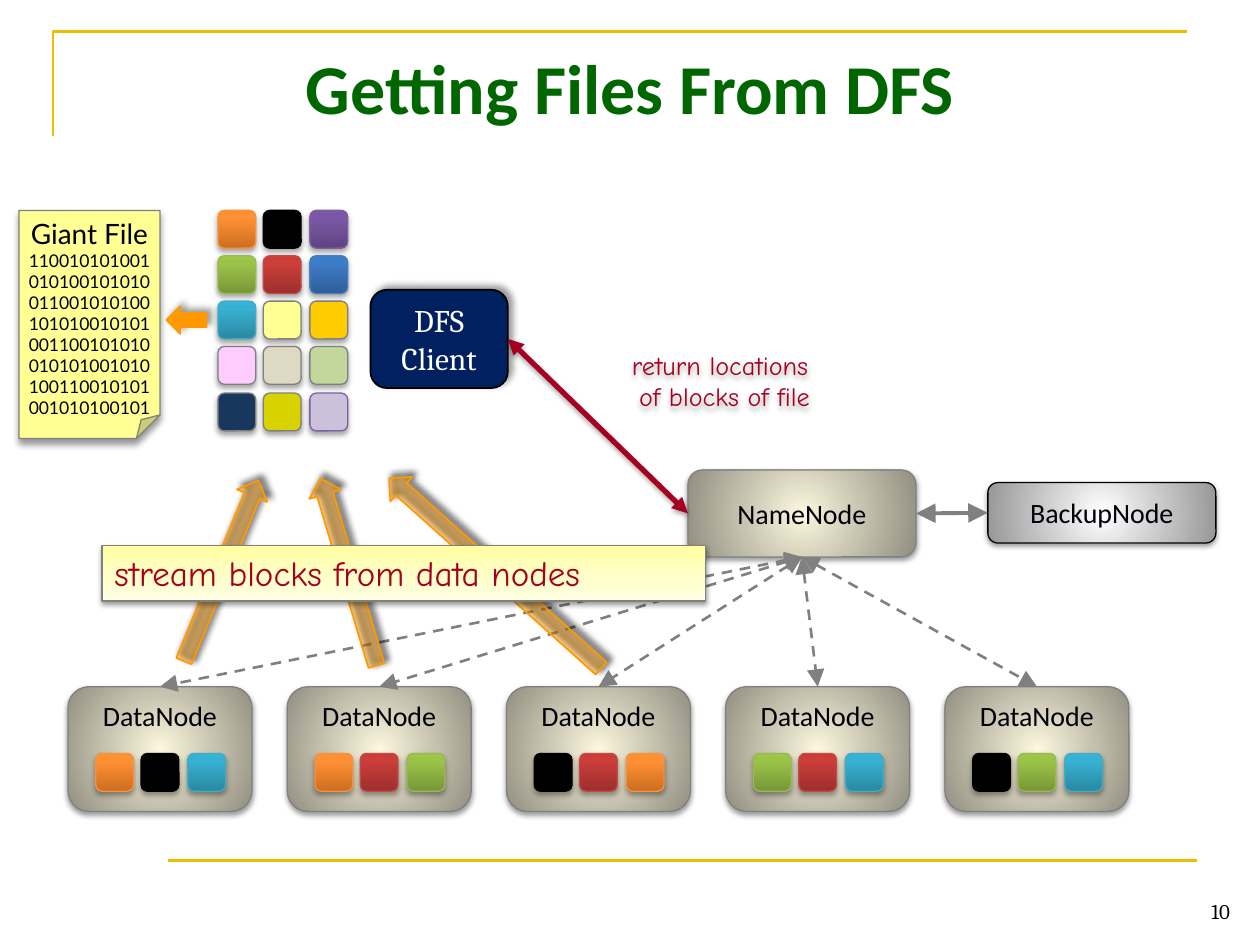
from dataclasses import dataclass

from lxml.etree import SubElement
from pptx import Presentation
from pptx.dml.color import RGBColor
from pptx.enum.dml import MSO_LINE
from pptx.enum.shapes import MSO_CONNECTOR, MSO_SHAPE
from pptx.enum.text import MSO_ANCHOR, PP_ALIGN
from pptx.oxml.ns import qn
from pptx.util import Emu, Pt

SCALE = 9144  # EMU in one px, 100 px to the inch


@dataclass(frozen=True)
class Paint:
    stops: tuple  # (position, colour) pairs; a single pair is a solid fill
    angle: int | None = None  # None makes a gradient circular
    alpha: int = 100


@dataclass(frozen=True)
class Shadow:
    alpha: int
    blur: float
    distance: float
    angle: int


@dataclass(frozen=True)
class Look:
    paint: Paint
    line: str = "808080"
    width: float = 0.75
    shadow: Shadow = Shadow(35, 3.1, 1.8, 90)


@dataclass(frozen=True)
class Type:
    name: str
    size: int
    color: str
    bold: bool = False


@dataclass(frozen=True)
class Box:
    left: int
    top: int
    width: int
    height: int

    def emu(self) -> tuple:
        return tuple(Emu(v * SCALE) for v in (self.left, self.top, self.width, self.height))


def solid(color: str, alpha: int = 100) -> Paint:
    return Paint(((0, color),), alpha=alpha)


def glossy(low: str, middle: str, high: str, line: str) -> Look:
    return Look(Paint(((0, low), (80, middle), (100, high)), 270), line)


class Theme:
    frame, gray, red = "EABD00", "808080", "A50021"
    soft = Shadow(35, 3.1, 1.8, 90)
    panel = Shadow(38, 3.1, 1.6, 90)
    lifted = Shadow(40, 4, 3, 315)
    node = Look(Paint(((0, "FCF7DD"), (100, "918E81"))), shadow=panel)
    backup = Look(Paint(((0, "FFFFFF"), (100, "979797"))), "000000", shadow=panel)
    paper = Look(solid("FFFF93"), shadow=Shadow(40, 4, 3, 90))
    client = Look(solid("002060"), "000000", 1, lifted)
    file_arrow = Look(solid("FF9900"), "FF9900", 1, lifted)
    stream_arrow = Look(solid("FF9900", 40), "FF9900", 1, lifted)
    banner = Look(Paint(((0, "FFFFA0"), (50, "FFFFC5"), (100, "FFFFE3")), 90), shadow=panel)
    title_type = Type("Calibri", 40, "006600", True)
    number_type = Type("Cambria", 12, "000000")
    node_type = Type("Calibri", 16, "01020B")
    file_type = Type("Lato", 16, "01020B")
    bits_type = Type("Lato", 10, "01020B")
    client_type = Type("Cambria", 18, "FFFFFF")
    note_type = Type("Comic Neue", 15, red)
    banner_type = Type("Comic Neue", 20, red)
    blocks = {
        "orange": glossy("CC6E20", "FF9034", "FF9136", "F69240"),
        "black": Look(solid("000000"), "000000"),
        "purple": glossy("5F4480", "7B58A6", "7C57A8", "7D60A0"),
        "green": glossy("779737", "9BC348", "9DC746", "98B955"),
        "red": glossy("9C2F2D", "CB3E3A", "CE3B37", "BF4C48"),
        "blue": glossy("2F5F99", "3D7CC7", "3A7CCB", "4B7EBC"),
        "cyan": glossy("2A88A2", "37B1D2", "34B4D6", "46AAC5"),
        "yellow": Look(solid("FFFF93")), "gold": Look(solid("FFCC00")),
        "pink": Look(solid("FFCCFF")), "sand": Look(solid("DDD9C3")),
        "sage": Look(solid("C3D69B")), "navy": Look(solid("17375E")),
        "olive": Look(solid("D7D200")), "lilac": Look(solid("CCC1DA"), "7D60A0"),
    }


def add_color(parent, color: str, alpha: int = 100) -> None:
    node = SubElement(parent, qn("a:srgbClr"), val=color)
    if alpha < 100:
        SubElement(node, qn("a:alpha"), val=str(alpha * 1000))


def set_shadow(properties, shadow: Shadow | None) -> None:
    effects = properties.find(qn("a:effectLst"))
    if effects is None:
        effects = SubElement(properties, qn("a:effectLst"))
    if shadow:
        values = {"blurRad": Pt(shadow.blur), "dist": Pt(shadow.distance),
                  "dir": shadow.angle * 60000, "rotWithShape": 0}
        outer = SubElement(effects, qn("a:outerShdw"), {k: str(v) for k, v in values.items()})
        add_color(outer, "000000", shadow.alpha)


def set_paint(shape, paint: Paint) -> None:
    properties = shape._element.spPr
    if len(paint.stops) == 1:
        shape.fill.solid()
        shape.fill.fore_color.rgb = RGBColor.from_string(paint.stops[0][1])
        if paint.alpha < 100:
            color = properties.find(qn("a:solidFill")).find(qn("a:srgbClr"))
            SubElement(color, qn("a:alpha"), val=str(paint.alpha * 1000))
        return
    shape.fill.gradient()
    gradient = properties.find(qn("a:gradFill"))
    for child in list(gradient):
        gradient.remove(child)
    stops = SubElement(gradient, qn("a:gsLst"))
    for position, color in paint.stops:
        add_color(SubElement(stops, qn("a:gs"), pos=str(position * 1000)), color)
    if paint.angle is None:
        circle = SubElement(gradient, qn("a:path"), path="circle")
        SubElement(circle, qn("a:fillToRect"), {side: "50000" for side in "ltrb"})
    else:
        SubElement(gradient, qn("a:lin"), ang=str(paint.angle * 60000), scaled="0")


def set_line(line, color: str, width: float) -> None:
    line.color.rgb = RGBColor.from_string(color)
    line.width = Pt(width)


def write(shape, lines: list, align=PP_ALIGN.CENTER, anchor=MSO_ANCHOR.TOP, wrap=False) -> None:
    frame = shape.text_frame
    for name, value in {"word_wrap": wrap, "vertical_anchor": anchor}.items():
        setattr(frame, name, value)
    for index, (text, style) in enumerate(lines):
        para = frame.paragraphs[0] if index == 0 else frame.add_paragraph()
        para.alignment = align
        span = para.add_run()
        span.text = text
        for name, value in {"name": style.name, "size": Pt(style.size), "bold": style.bold}.items():
            setattr(span.font, name, value)
        span.font.color.rgb = RGBColor.from_string(style.color)


def draw(shapes, box: Box, look: Look, kind=MSO_SHAPE.ROUNDED_RECTANGLE):
    shape = shapes.add_shape(kind, *box.emu())
    set_paint(shape, look.paint)
    set_line(shape.line, look.line, look.width)
    shape.shadow.inherit = False
    set_shadow(shape._element.spPr, look.shadow)
    return shape


def draw_arrow(shapes, box: Box, look: Look, rotation: float = 0) -> None:
    arrow = draw(shapes, box, look, MSO_SHAPE.RIGHT_ARROW)
    arrow._element.spPr.find(qn("a:xfrm")).set("flipH", "1")
    arrow.rotation = rotation


def draw_line(shapes, ends: tuple, color: str, width: float):
    line = shapes.add_connector(MSO_CONNECTOR.STRAIGHT, *(Emu(v * SCALE) for v in ends))
    set_line(line.line, color, width)
    return line


def link(shapes, start, start_side: int, end, end_side: int, color: str, width: float,
         dash=None, shadow: Shadow | None = None, tip_size: str = "lg") -> None:
    line = draw_line(shapes, (0, 0, 0, 0), color, width)
    line.begin_connect(start, start_side)
    line.end_connect(end, end_side)
    if dash:
        line.line.dash_style = dash
    outline = line._element.spPr.find(qn("a:ln"))
    for tip in ("a:headEnd", "a:tailEnd"):
        SubElement(outline, qn(tip), type="triangle", w=tip_size, len=tip_size)
    set_shadow(line._element.spPr, shadow)


def draw_blocks(shapes, left: int, top: int, rows: list) -> None:
    for row, names in enumerate(rows):
        for column, name in enumerate(names.split()):
            box = Box(left + column * 73 // 2, top + row * 145 // 4, 30, 30)
            draw(shapes, box, Theme.blocks[name])


def draw_data_node(shapes, left: int, names: str):
    group = shapes.add_group_shape()
    node = draw(group.shapes, Box(left, 545, 146, 99), Theme.node)
    write(node, [("DataNode", Theme.node_type)])
    draw_blocks(group.shapes, left + 22, 598, [names])
    return node


def main() -> None:
    deck = Presentation()
    deck.slide_width, deck.slide_height = Emu(1000 * SCALE), Emu(750 * SCALE)
    page = deck.slides.add_slide(deck.slide_layouts[5])
    shapes = page.shapes

    # Frame, title and page number
    builder = shapes.build_freeform(42, 108, scale=SCALE)
    builder.add_line_segments([(42, 25), (942, 25)], close=False)
    corner = builder.convert_to_shape()
    corner.fill.background()
    corner.shadow.inherit = False
    set_line(corner.line, Theme.frame, 1.5)
    set_shadow(draw_line(shapes, (133, 683, 950, 683), Theme.frame, 1.5)._element.spPr, None)
    title = shapes.title
    title.left, title.top, title.width, title.height = Box(50, 26, 900, 86).emu()
    write(title, [("Getting Files From DFS", Theme.title_type)], anchor=MSO_ANCHOR.MIDDLE, wrap=True)
    number = shapes.add_textbox(*Box(910, 688, 76, 50).emu())
    write(number, [("10", Theme.number_type)], PP_ALIGN.RIGHT, MSO_ANCHOR.BOTTOM, True)

    # Nodes and client
    name_node = draw(shapes, Box(546, 373, 181, 69), Theme.node)
    write(name_node, [("NameNode", Theme.node_type)], anchor=MSO_ANCHOR.MIDDLE)
    backup_node = draw(shapes, Box(784, 383, 181, 48), Theme.backup)
    write(backup_node, [("BackupNode", Theme.node_type)], anchor=MSO_ANCHOR.MIDDLE)
    client = draw(shapes, Box(294, 230, 109, 78), Theme.client)
    write(client, [(text, Theme.client_type) for text in ("DFS", "Client")], anchor=MSO_ANCHOR.MIDDLE)
    contents = ["orange black cyan", "orange red green", "black red orange",
                "green red cyan", "black green cyan"]
    data_nodes = [draw_data_node(shapes, 54 + 174 * i, names) for i, names in enumerate(contents)]

    # Links
    link(shapes, name_node, 3, backup_node, 1, Theme.gray, 2.25)
    for data_node in data_nodes:
        link(shapes, name_node, 2, data_node, 0, Theme.gray, 1.5, MSO_LINE.DASH)
    link(shapes, client, 3, name_node, 1, Theme.red, 3, shadow=Theme.soft, tip_size="med")
    note = shapes.add_textbox(*Box(466, 272, 218, 61).emu())
    write(note, [(text, Theme.note_type) for text in ("return locations ", "of blocks of file")])
    set_shadow(note._element.spPr, Theme.soft)

    # Giant file and its blocks
    paper = draw(shapes, Box(15, 167, 112, 181), Theme.paper, MSO_SHAPE.FOLDED_CORNER)
    bits = ["110010101001", "010100101010", "011001010100", "101010010101",
            "001100101010", "010101001010", "100110010101", "001010100101"]
    write(paper, [("Giant File", Theme.file_type)] + [(row, Theme.bits_type) for row in bits])
    draw_blocks(shapes, 173, 167, ["orange black purple", "green red blue", "cyan yellow gold",
                                   "pink sand sage", "navy olive lilac"])
    draw_arrow(shapes, Box(132, 243, 32, 22), Theme.file_arrow)

    # Streams from the data nodes
    for box, rotation in ((Box(98, 440, 155, 26), 112.4), (Box(199, 441, 155, 26), 73.3),
                          (Box(280, 442, 226, 26), 41.9)):
        draw_arrow(shapes, box, Theme.stream_arrow, rotation)
    banner = draw(shapes, Box(81, 433, 479, 44), Theme.banner, MSO_SHAPE.RECTANGLE)
    write(banner, [("stream blocks from data nodes", Theme.banner_type)], PP_ALIGN.LEFT, wrap=True)

    deck.save("out.pptx")


if __name__ == "__main__":
    main()
